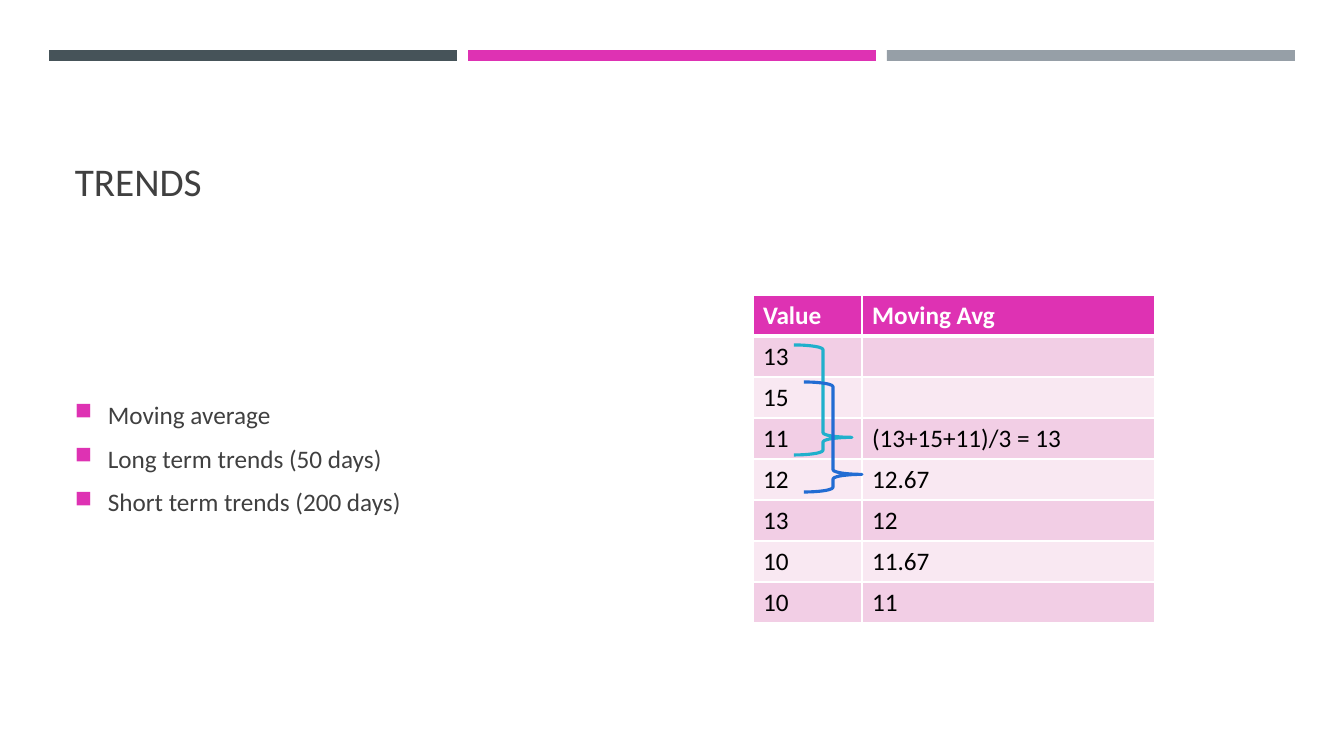
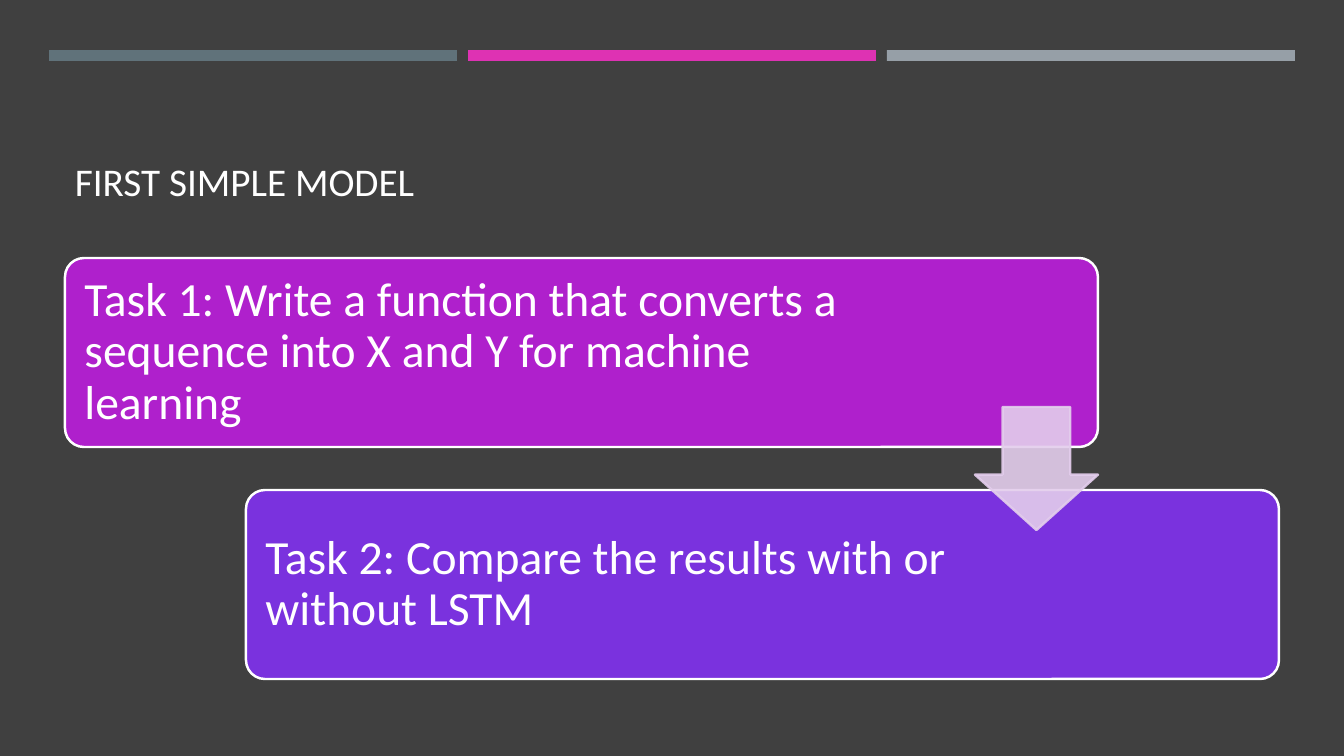
from lxml.etree import SubElement
from pptx import Presentation
from pptx.dml.color import RGBColor
from pptx.enum.shapes import MSO_SHAPE
from pptx.enum.text import MSO_ANCHOR, PP_ALIGN
from pptx.oxml.ns import qn
from pptx.util import Emu, Pt

SCALE = 914400 / 100.8
FONT = "Calibri"
COLORS = {
    "white": "FFFFFF", "black": "000000", "charcoal": "404040",
    "slate": "465359", "light_slate": "60727A", "pink": "DE32B3", "grey": "969FA7",
    "band_dark": "F2CEE5", "band_light": "F9E8F2", "teal": "20B0CC",
    "blue": "226CD3", "magenta": "AF20CC", "violet": "7A32DE", "lilac": "E3CDEC",
}
AVERAGES = [
    ("Value", "Moving Avg"), ("13", ""), ("15", ""), ("11", "(13+15+11)/3 = 13"),
    ("12", "12.67"), ("13", "12"), ("10", "11.67"), ("10", "11"),
]


def px(length):
    """Turn px into EMU."""
    return Emu(round(length * SCALE))


def rgb(name):
    """Look up a named colour."""
    return RGBColor.from_string(COLORS[name])


def add_span(para, text, size, color, bold=False):
    """Add one styled run to a paragraph."""
    span = para.add_run()
    span.text = text
    span.font.name = FONT
    span.font.size = Pt(size)
    span.font.bold = bold
    span.font.color.rgb = rgb(color)


def add_figure(page, kind, place, fill=None, line=None, weight=1.75, adjust=()):
    """Add a preset shape with its fill and outline."""
    figure = page.shapes.add_shape(kind, *map(px, place))
    figure.shadow.inherit = False
    for index, value in enumerate(adjust):
        figure.adjustments[index] = value
    if fill:
        figure.fill.solid()
        figure.fill.fore_color.rgb = rgb(fill)
    else:
        figure.fill.background()
    if line:
        figure.line.color.rgb = rgb(line)
        figure.line.width = Pt(weight)
    else:
        figure.line.fill.background()
    return figure


def add_text_frame(page, place, anchor):
    """Add a wrapping text box and return its frame."""
    frame = page.shapes.add_textbox(*map(px, place)).text_frame
    frame.word_wrap = True
    frame.vertical_anchor = anchor
    return frame


def add_page(deck, title, background, title_color, first_bar):
    """Add a page with its background, three bars and title."""
    page = deck.slides.add_slide(deck.slide_layouts[6])
    page.background.fill.solid()
    page.background.fill.fore_color.rgb = rgb(background)
    for index, color in enumerate((first_bar, "pink", "grey")):
        add_figure(page, MSO_SHAPE.RECTANGLE, (49 + 419 * index, 50, 408, 11), color)
    frame = add_text_frame(page, (65, 78, 1215, 131), MSO_ANCHOR.BOTTOM)
    add_span(frame.paragraphs[0], title, 28, title_color)
    return page


def add_bullets(page, place, items):
    """Add a list with square bullets."""
    frame = add_text_frame(page, place, MSO_ANCHOR.MIDDLE)
    for index, item in enumerate(items):
        para = frame.paragraphs[0] if index == 0 else frame.add_paragraph()
        para.space_before = Pt(3.6)
        para.space_after = Pt(6)
        properties = para._p.get_or_add_pPr()
        properties.set("marL", str(px(33)))
        properties.set("indent", str(-px(33)))
        bullet_color = SubElement(properties, qn("a:buClr"))
        SubElement(bullet_color, qn("a:srgbClr"), val=COLORS["pink"])
        SubElement(properties, qn("a:buSzPct"), val="92000")
        SubElement(properties, qn("a:buChar"), char="■")
        add_span(para, item, 18, "charcoal")


def add_borders(cell, bottom_weight):
    """Draw white borders around a table cell."""
    properties = cell._tc.get_or_add_tcPr()
    for side in "LRTB":
        weight = bottom_weight if side == "B" else 1
        border = SubElement(properties, qn(f"a:ln{side}"), w=str(Pt(weight)))
        fill = SubElement(border, qn("a:solidFill"))
        SubElement(fill, qn("a:srgbClr"), val=COLORS["white"])


def add_grid(page, left, top, widths, row_height, rows):
    """Add a table with a header row and banded rows."""
    place = (left, top, sum(widths), row_height * len(rows))
    grid = page.shapes.add_table(len(rows), len(widths), *map(px, place)).table
    grid.horz_banding = False
    for column, width in zip(grid.columns, widths):
        column.width = px(width)
    for row_index, row in enumerate(rows):
        header = row_index == 0
        band = "band_dark" if row_index % 2 else "band_light"
        grid.rows[row_index].height = px(row_height)
        for column_index, text in enumerate(row):
            cell = grid.cell(row_index, column_index)
            add_borders(cell, 3 if header else 1)
            cell.fill.solid()
            cell.fill.fore_color.rgb = rgb("pink" if header else band)
            if text:
                add_span(cell.text_frame.paragraphs[0], text, 18,
                         "white" if header else "black", header)


def add_task(page, left, top, fill, text, right_inset):
    """Add a rounded task card with left-aligned text."""
    card = add_figure(page, MSO_SHAPE.ROUNDED_RECTANGLE, (left, top, 1033, 189),
                      fill, "white", adjust=(0.1,))
    frame = card.text_frame
    frame.word_wrap = True
    frame.vertical_anchor = MSO_ANCHOR.MIDDLE
    frame.margin_left, frame.margin_right = px(14), px(right_inset)
    frame.margin_top = frame.margin_bottom = 0
    para = frame.paragraphs[0]
    para.alignment = PP_ALIGN.LEFT
    para.line_spacing = 0.9
    add_span(para, text, 34, "white")


def add_step_arrow(page, place):
    """Add a slightly transparent arrow that points down."""
    arrow = add_figure(page, MSO_SHAPE.DOWN_ARROW, place, "lilac", "lilac",
                       adjust=(0.55, 0.45))
    for color in arrow._element.spPr.iter(qn("a:srgbClr")):
        SubElement(color, qn("a:alpha"), val="90000")


def add_trends_page(deck):
    """Build the page on moving averages."""
    page = add_page(deck, "TRENDS", "white", "charcoal", "slate")
    add_bullets(page, (65, 258, 1215, 400), [
        "Moving average", "Long term trends (50 days)", "Short term trends (200 days)",
    ])
    add_grid(page, 753, 295, (109, 293), 41, AVERAGES)
    for index, color in enumerate(("teal", "blue")):
        add_figure(page, MSO_SHAPE.RIGHT_BRACE, (794 + 10 * index, 345 + 37 * index, 58, 110),
                   line=color, weight=2.25, adjust=(0.08, 0.84))


def add_model_page(deck):
    """Build the page with the two tasks."""
    page = add_page(deck, "FIRST SIMPLE MODEL", "charcoal", "white", "light_slate")
    add_task(page, 65, 258, "magenta", "Task 1: Write a function that converts a "
             "sequence into X and Y for machine learning", 199)
    add_task(page, 246, 490, "violet",
             "Task 2: Compare the results with or without LSTM", 319)
    add_step_arrow(page, (975, 407, 123, 123))


def main():
    """Build and save the deck."""
    deck = Presentation()
    deck.slide_width, deck.slide_height = px(1344), px(756)
    add_trends_page(deck)
    add_model_page(deck)
    deck.save("out.pptx")


if __name__ == "__main__":
    main()
